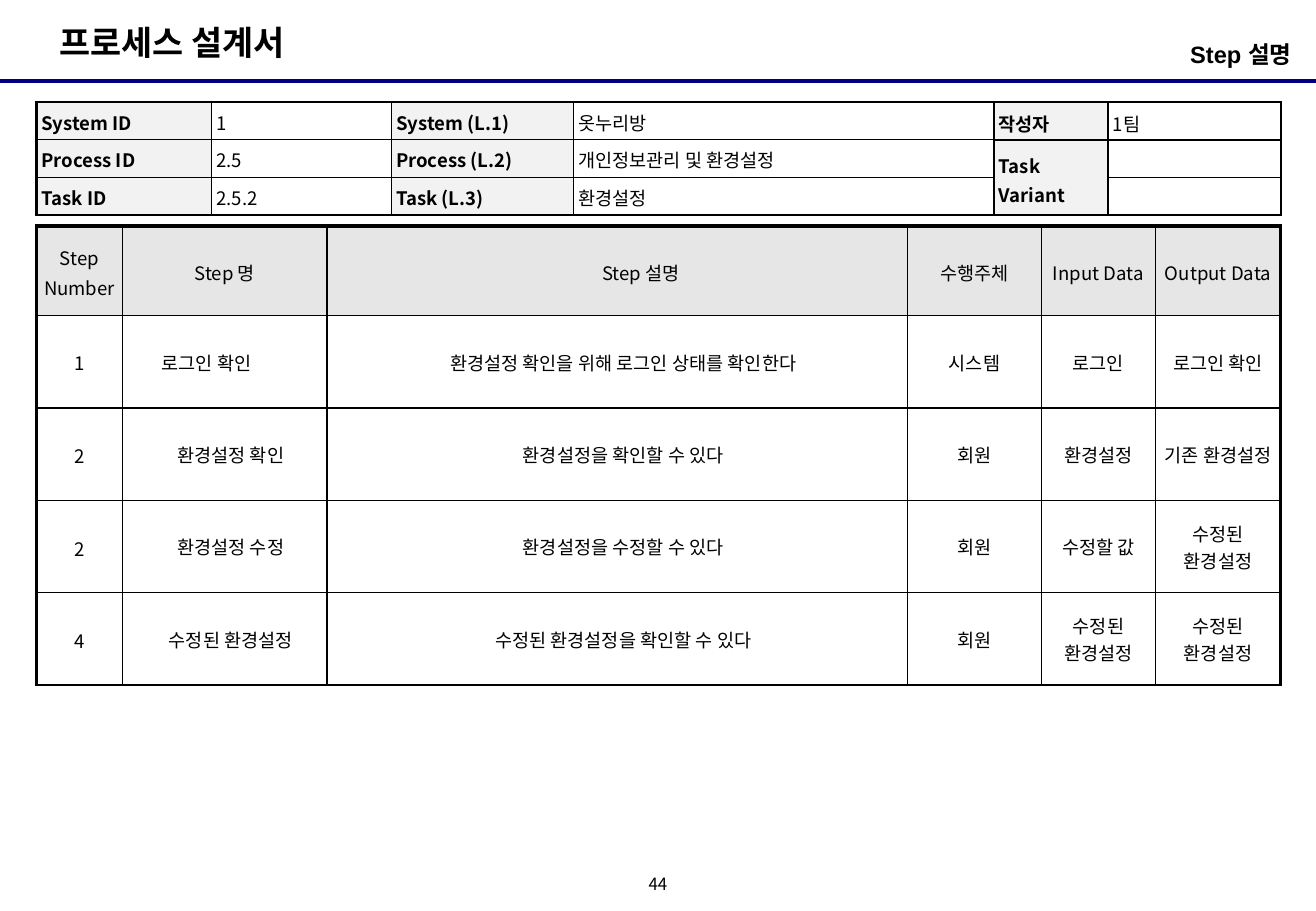
from lxml.etree import SubElement
from pptx import Presentation
from pptx.dml.color import RGBColor
from pptx.enum.shapes import MSO_CONNECTOR as Connector
from pptx.enum.text import MSO_ANCHOR as Anchor, MSO_AUTO_SIZE as AutoSize, PP_ALIGN as Align
from pptx.oxml.ns import qn
from pptx.util import Inches, Pt

COLORS = {"ink": "000000", "rule": "000080", "label": "F2F2F2", "heading": "E6E6E6"}
FONT = "Noto Sans CJK KR"

INFO_COLUMNS = [1.44, 1.48, 1.5, 3.46, 0.94, 1.42]
INFO_ROWS = [
    ["System ID", "1", "System (L.1)", "옷누리방", "작성자", "1팀"],
    ["Process ID", "2.5", "Process (L.2)", "개인정보관리 및 환경설정", "Task Variant", ""],
    ["Task ID", "2.5.2", "Task (L.3)", "환경설정", "", ""],
]
STEP_COLUMNS = [0.71, 1.68, 4.78, 1.1, 0.94, 1.03]
STEP_ROWS = [
    ["Step Number", "Step 명", "Step 설명", "수행주체", "Input Data", "Output Data"],
    ["1", "로그인 확인", "환경설정 확인을 위해 로그인 상태를 확인한다", "시스템", "로그인", "로그인 확인"],
    ["2", "환경설정 확인", "환경설정을 확인할 수 있다", "회원", "환경설정", "기존 환경설정"],
    ["2", "환경설정 수정", "환경설정을 수정할 수 있다", "회원", "수정할 값", "수정된 환경설정"],
    ["4", "수정된 환경설정", "수정된 환경설정을 확인할 수 있다", "회원", "수정된 환경설정", "수정된 환경설정"],
]


def color(name):
    return RGBColor.from_string(COLORS[name])


def write(frame, text, size, bold=False, align=Align.LEFT, latin=FONT):
    paragraph = frame.paragraphs[0]
    paragraph.text = text
    paragraph.alignment = align
    for run in paragraph.runs:
        run.font.name = latin
        run.font.size = Pt(size)
        run.font.bold = bold
        run.font.color.rgb = color("ink")
        SubElement(run.font._element, qn("a:ea"), typeface=FONT)
    if not text:
        SubElement(paragraph._p, qn("a:endParaRPr"), sz=str(size * 100))
    return paragraph


def set_insets(target, left, top, right, bottom):
    target.margin_left, target.margin_top = Inches(left), Inches(top)
    target.margin_right, target.margin_bottom = Inches(right), Inches(bottom)


def place(shape, left, top, width, height):
    shape.left, shape.top = Inches(left), Inches(top)
    shape.width, shape.height = Inches(width), Inches(height)


def add_label(slide, box, text, size, **style):
    shape = slide.shapes.add_textbox(*map(Inches, box))
    frame = shape.text_frame
    frame.word_wrap = True
    set_insets(frame, 0, 0, 0, 0)
    write(frame, text, size, **style)
    return frame


def set_borders(cell, weights):
    properties = cell._tc.get_or_add_tcPr()
    for side in "LRTB":
        line = SubElement(properties, qn(f"a:ln{side}"), w=str(Pt(weights[side])))
        fill = SubElement(line, qn("a:solidFill"))
        SubElement(fill, qn("a:srgbClr"), val=COLORS["ink"])


def add_grid(slide, left, top, columns, heights, outer, bottom, heavy_below=()):
    frame = slide.shapes.add_table(len(heights), len(columns), Inches(left), Inches(top),
                                   Inches(sum(columns)), Inches(sum(heights)))
    table = frame.table
    table.first_row = table.horz_banding = False
    for column, width in zip(table.columns, columns):
        column.width = Inches(width)
    for row, height in zip(table.rows, heights):
        row.height = Inches(height)
    last_row, last_column = len(heights) - 1, len(columns) - 1
    for r in range(len(heights)):
        for c in range(len(columns)):
            cell = table.cell(r, c)
            set_borders(cell, {
                "L": outer if c == 0 else 1,
                "R": outer if c == last_column else 1,
                "T": outer if r == 0 or (r - 1, c) in heavy_below else 1,
                "B": bottom if r == last_row else outer if (r, c) in heavy_below else 1,
            })
            cell.fill.background()
    return table


def shade(cell, name):
    cell.fill.solid()
    cell.fill.fore_color.rgb = color(name)


def add_header(slide, left, top, width, height):
    title = slide.shapes.title
    place(title, left + 0.39, top + 0.13, 2.26, 0.44)
    frame = title.text_frame
    frame.word_wrap = False
    frame.auto_size = AutoSize.NONE
    frame.vertical_anchor = Anchor.MIDDLE
    set_insets(frame, 0.1, 0.05, 0.1, 0.05)
    write(frame, "프로세스 설계서", 20, bold=True)

    rule_top = Inches(top + height)
    rule = slide.shapes.add_connector(Connector.STRAIGHT, Inches(left), rule_top,
                                      Inches(left + width), rule_top)
    rule.line.color.rgb = color("rule")
    rule.line.width = Pt(2.25)
    SubElement(rule._element.spPr, qn("a:effectLst"))

    subtitle = add_label(slide, (left + width - 3.44, top + 0.28, 3.24, 0.39), "Step 설명",
                         14, bold=True, align=Align.RIGHT, latin="Arial")
    subtitle.margin_top = Inches(0.05)


def add_info_table(slide, left, top):
    table = add_grid(slide, left, top, INFO_COLUMNS, [0.31] * len(INFO_ROWS),
                     outer=1.5, bottom=1.5, heavy_below={(0, 4), (0, 5)})
    table.cell(1, 4).merge(table.cell(2, 4))
    for r, texts in enumerate(INFO_ROWS):
        for c, text in enumerate(texts):
            cell = table.cell(r, c)
            is_label = c % 2 == 0
            set_insets(cell, 0.04, 0.03, 0.04, 0.01)
            if c >= 4:
                cell.vertical_anchor = Anchor.MIDDLE
            if is_label:
                shade(cell, "label")
            paragraph = write(cell.text_frame, text, 11, bold=is_label)
            paragraph.line_spacing = 1.1
            paragraph.space_before = paragraph.space_after = Pt(1)


def add_step_table(slide, left, top):
    heights = [0.74] + [0.76] * (len(STEP_ROWS) - 1)
    table = add_grid(slide, left, top, STEP_COLUMNS, heights, outer=2.25, bottom=1)
    for r, texts in enumerate(STEP_ROWS):
        for c, text in enumerate(texts):
            cell = table.cell(r, c)
            set_insets(cell, 0.06, 0.04, 0.06, 0.04)
            cell.vertical_anchor = Anchor.MIDDLE
            first_name = (r, c) == (1, 1)
            paragraph = write(cell.text_frame, text, 11,
                              align=Align.LEFT if first_name else Align.CENTER)
            indent = 0.26 if first_name else 0.1 if r and c in (1, 2) else 0
            if (r, c) == (0, 2):
                indent = 0.39
            paragraph._p.get_or_add_pPr().set("marL", str(Inches(indent)))
            if r == 0:
                shade(cell, "heading")
                paragraph.line_spacing = 1.1
                paragraph.space_after = Pt(1)
            elif c == 0 and r > 1:
                paragraph.line_spacing = 1.1
                paragraph.space_before = paragraph.space_after = Pt(1)


def add_page_number(slide, left, top, width, height):
    frame = add_label(slide, (left, top, width, height), "44", 10, align=Align.CENTER)
    frame.vertical_anchor = Anchor.MIDDLE
    frame.paragraphs[0].line_spacing = 0.8


def main():
    presentation = Presentation()
    presentation.slide_width = Inches(10.83)
    presentation.slide_height = Inches(7.5)
    slide = presentation.slides.add_slide(presentation.slide_layouts[5])
    add_header(slide, 0, 0, 10.83, 0.67)
    add_info_table(slide, 0.3, 0.84)
    add_step_table(slide, 0.3, 1.86)
    add_page_number(slide, 5.25, 7.17, 0.33, 0.25)
    presentation.save("out.pptx")


if __name__ == "__main__":
    main()
